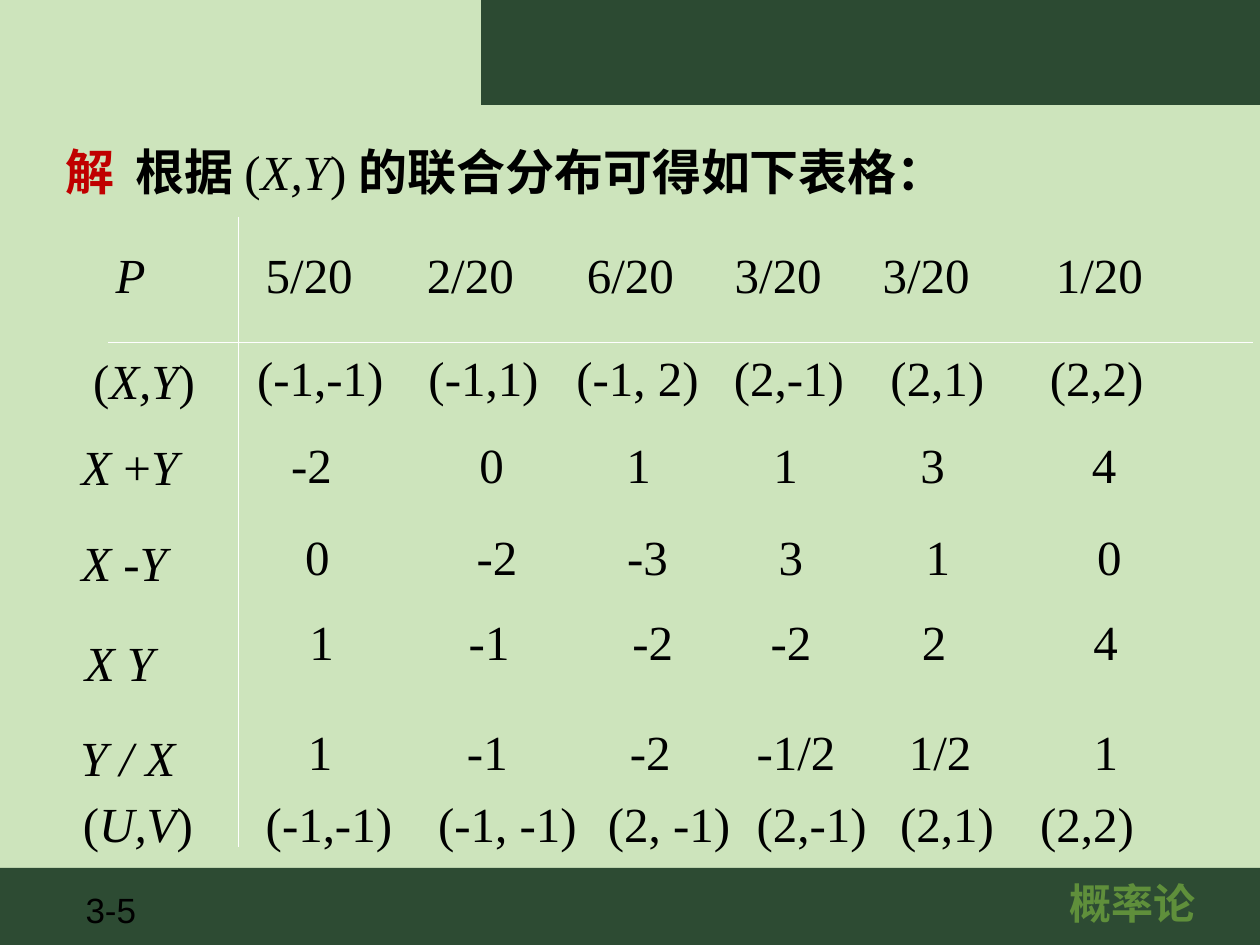
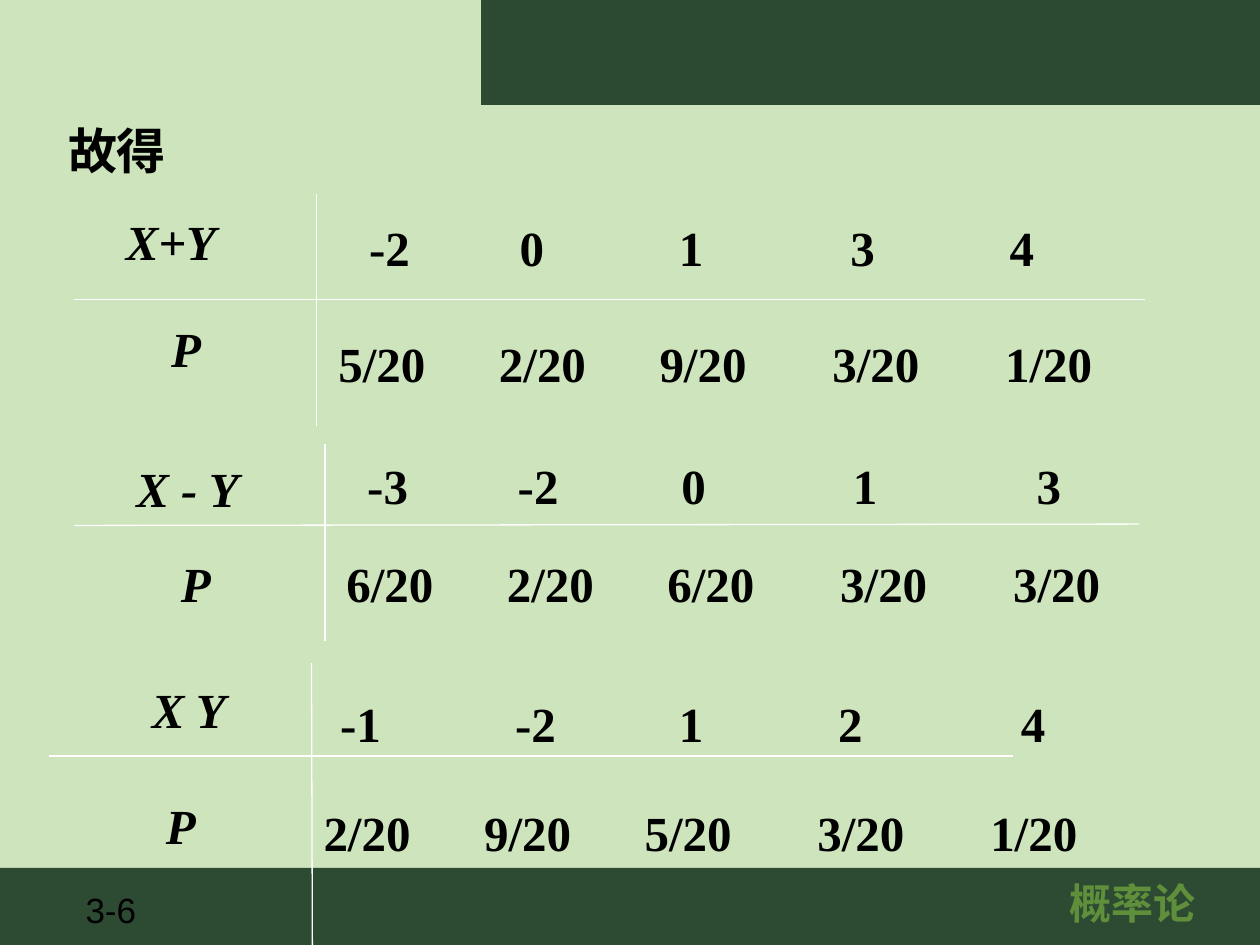
import pptx
import pptx.dml.color
import pptx.enum.shapes
import pptx.enum.text
import pptx.util
from lxml import etree
from pptx.oxml.ns import qn

Pt = pptx.util.Pt
INK, RED, WHITE = "000000", "C00000", "FFFFFF"
PALE_GREEN, DARK_GREEN, HEADER_GREEN, LEAF_GREEN = "CDE4BC", "2D4B33", "2C4A32", "5F8F3B"
SERIF, SANS = "Times New Roman", "Arial"
INSET = 7.2
ROW_HEIGHT = 41
COURSE = "概率论"


def color(hex_string):
    return pptx.dml.color.RGBColor.from_string(hex_string)


def write(shape, runs, left, top, width, height=ROW_HEIGHT, stops=(), size=28, font=SERIF):
    """Place a shape so its text starts at left, and fill it with (text, style, color) runs.

    A style holds b for bold and i for italic; stops are tab positions in the text.
    """
    shape.left, shape.top = Pt(left - INSET), Pt(top)
    shape.width, shape.height = Pt(width), Pt(height)
    frame = shape.text_frame
    frame.word_wrap = True
    frame.auto_size = pptx.enum.text.MSO_AUTO_SIZE.NONE
    frame.vertical_anchor = pptx.enum.text.MSO_ANCHOR.TOP
    paragraph = frame.paragraphs[0]
    paragraph.alignment = pptx.enum.text.PP_ALIGN.LEFT
    if stops:
        tab_list = etree.SubElement(paragraph._p.get_or_add_pPr(), qn("a:tabLst"))
        for stop in stops:
            etree.SubElement(tab_list, qn("a:tab"), pos=str(int(Pt(stop))), algn="l")
    for text, style, ink in runs:
        run = paragraph.add_run()
        run.text = text
        run.font.name, run.font.size = font, Pt(size)
        run.font.bold, run.font.italic = "b" in style, "i" in style
        run.font.color.rgb = color(ink)
    return paragraph


presentation = pptx.Presentation()
presentation.slide_width, presentation.slide_height = Pt(720), Pt(540)
background = presentation.slide_master.background.fill
background.solid()
background.fore_color.rgb = color(PALE_GREEN)

titles = [
    [("解", "b", RED), ("\t根据 ", "b", INK), ("(", "", INK), ("X,Y", "i", INK),
     (") ", "", INK), ("的联合分布可得如下表格：", "b", INK)],
    [("故得", "b", INK)],
]
title_places = [(37.4, 77, 560), (38.9, 65.5, 100)]

joint_labels = [
    (66.2, 136, [("P", "i")]),
    (53.3, 196.5, [("(", ""), ("X,Y", "i"), (")", "")]),
    (46.6, 246, [("X", "i"), (" +", ""), ("Y", "i")]),
    (46.6, 301, [("X -Y", "i")]),
    (48.6, 358, [("X Y", "i")]),
    (46, 412, [("Y / X", "i")]),
    (47.5, 450, [("(", ""), ("U,V", "i"), (")", "")]),
]
joint_pairs = [
    (195, ["(-1,-1)", "(-1,1)", "(-1, 2)", "(2,-1)", "(2,1)", "(2,2)"],
     [147, 245, 329.5, 419.5, 509, 600]),
    (450, ["(-1,-1)", "(-1, -1)", "(2, -1)", "(2,-1)", "(2,1)", "(2,2)"],
     [152, 250.5, 347.5, 432.5, 514.5, 594.5]),
]
# top, values, left edge of each value, bold or not
joint_rows = [
    (136, "5/20 2/20 6/20 3/20 3/20 1/20", [152, 244, 335.5, 420, 504.5, 603.5]),
    (245, "-2 0 1 1 3 4", [166.5, 274, 358, 442, 526, 624]),
    (297.5, "0 -2 -3 3 1 0", [174.5, 272.5, 358.5, 445, 529, 627]),
    (346, "1 -1 -2 -2 2 4", [177, 268, 361.5, 440.5, 527, 625]),
    (409, "1 -1 -2 -1/2 1/2 1", [176, 267, 360, 432.5, 519.5, 625]),
]
PROBABILITY_OFFSETS = [0, 91.75, 183.5, 282.25, 381]
# label, P label, value row, probability row
distributions = [
    (("X+Y", 72, 117.5), (98, 178.5),
     (121, "-2 0 1 3 4", [211, 297, 388, 486, 577]),
     (187, "5/20 2/20 9/20 3/20 1/20", 193.5)),
    (("X - Y", 78, 258.5), (103.5, 312.5),
     (257, "-3 -2 0 1 3", [210, 296, 389.5, 487.5, 592.5]),
     (313, "6/20 2/20 6/20 3/20 3/20", 198)),
    (("X Y", 87, 385), (95, 451),
     (393, "-1 -2 1 2 4", [194.5, 294.5, 388, 479, 583.5]),
     (455, "2/20 9/20 5/20 3/20 1/20", 185)),
]
rules = [
    [(62, 195.75, 715.75, 195.75), (136.25, 124, 136.25, 484)],
    [(42.5, 171.25, 654.5, 171.25), (180.75, 111, 180.75, 243.25),
     (42.5, 300.25, 651, 299.5), (185.75, 253.5, 185.75, 366.5),
     (28, 432, 579, 432), (178, 379, 178.5, 540)],
]

probability_rows = []
for label, p_place, values, (top, text, start) in distributions:
    probability_rows += [values, (top, text, [start + offset for offset in PROBABILITY_OFFSETS])]

slide_labels = [
    joint_labels,
    [entry for (name, left, top), p_place, values, chances in distributions
     for entry in ((left, top, [(name, "bi")]), (*p_place, [("P", "bi")]))],
]
slide_rows = [joint_rows, probability_rows]

for index, title_runs in enumerate(titles):
    slide = presentation.slides.add_slide(presentation.slide_layouts[5])
    shapes = slide.shapes
    left, top, width = title_places[index]
    write(shapes.title, title_runs, left, top, width, stops=[40] if index == 0 else ())

    for band_left, band_top, band_width, band_height, fill in (
            (0, 496, 720, 44, DARK_GREEN), (275, 0, 445, 60, HEADER_GREEN)):
        band = shapes.add_shape(pptx.enum.shapes.MSO_SHAPE.RECTANGLE, Pt(band_left),
                                Pt(band_top), Pt(band_width), Pt(band_height))
        band.shadow.inherit = False
        band.fill.solid()
        band.fill.fore_color.rgb = color(fill)
        band.line.fill.background()

    write(shapes.add_textbox(0, 0, 0, 0), [(f"3-{index + 5}", "", INK)],
          49, 504, 56, 31, size=20, font=SANS)
    course = write(shapes.add_textbox(0, 0, 0, 0), [(COURSE, "b", LEAF_GREEN)],
                   543, 498, 222.5, 36, size=24, font=SANS)
    course.alignment = pptx.enum.text.PP_ALIGN.CENTER

    for x1, y1, x2, y2 in rules[index]:
        rule = shapes.add_connector(pptx.enum.shapes.MSO_CONNECTOR.STRAIGHT,
                                    Pt(x1), Pt(y1), Pt(x2), Pt(y2))
        rule.line.color.rgb = color(WHITE)
        rule.line.width = Pt(0.75)
        etree.SubElement(rule._element.spPr, qn("a:effectLst"))

    for left, top, runs in slide_labels[index]:
        write(shapes.add_textbox(0, 0, 0, 0), [(text, style, INK) for text, style in runs],
              left, top, 88)

    weight = "b" if index == 1 else ""
    for top, values, lefts in slide_rows[index]:
        write(shapes.add_textbox(0, 0, 0, 0), [("\t".join(values.split()), weight, INK)],
              lefts[0], top, lefts[-1] - lefts[0] + 75,
              stops=[left - lefts[0] for left in lefts[1:]])

    if index == 0:
        for top, pairs, lefts in joint_pairs:
            for left, pair in zip(lefts, pairs):
                write(shapes.add_textbox(0, 0, 0, 0), [(pair, "", INK)], left, top, 102)

presentation.save("out.pptx")
